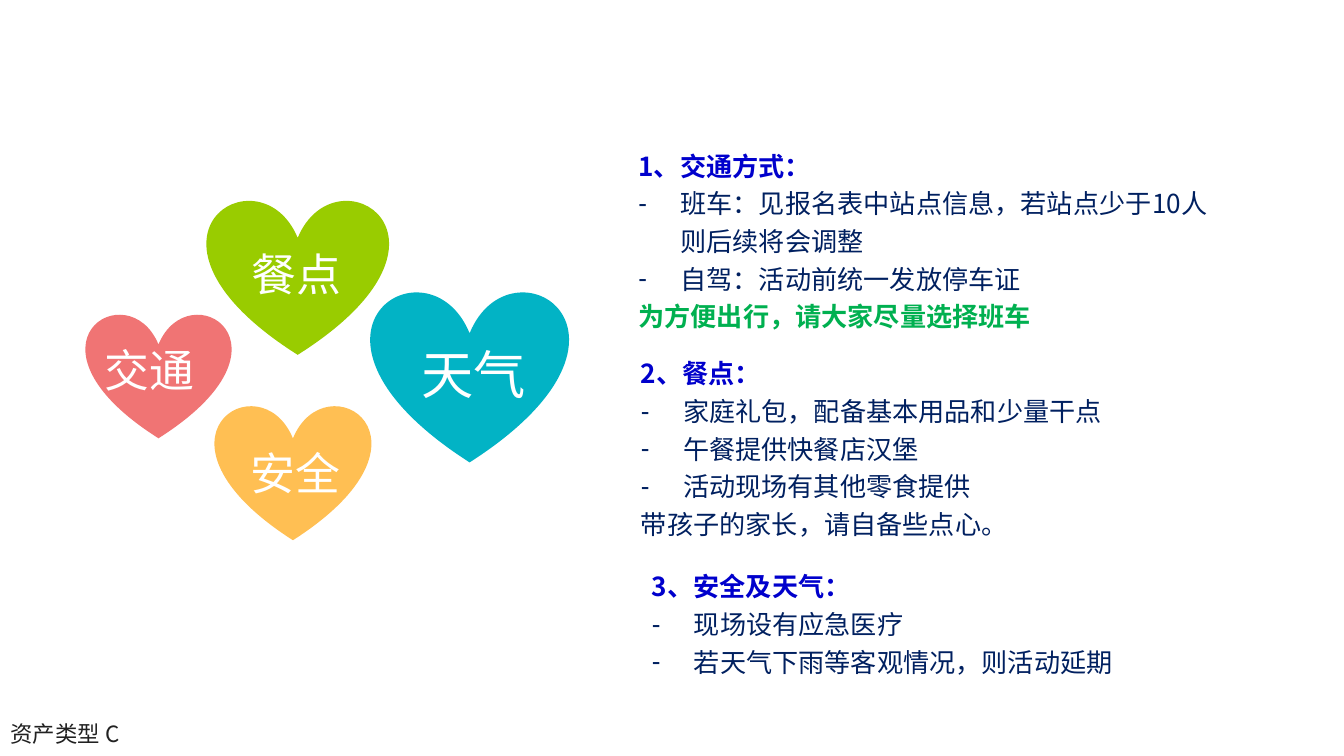
from lxml import etree
from pptx import Presentation
from pptx.dml.color import RGBColor
from pptx.enum import shapes, text
from pptx.oxml import ns
from pptx.util import Pt

THEME = {
    "font": "Noto Sans CJK SC",
    "head": "0000CC", "body": "002060", "tip": "00B050",
    "white": "FFFFFF", "foot": "212121",
    "list": 14, "label": 24, "large": 28, "small": 12,
}

# Label, heart fill, heart box, label box, label size
HEARTS = [
    ("交通", "F07474", (46, 167.8, 77.8, 67), (48.2, 180, 63.4, 36), "label"),
    ("餐点", "99CC00", (110.9, 106.6, 97.2, 83.5), (119.5, 128.9, 78.5, 36), "label"),
    ("安全", "FFBF53", (115.2, 216.7, 83.5, 72.7), (126.7, 235.4, 63.4, 36), "label"),
    ("天气", "02B3C5", (198.7, 155.5, 105.8, 92.2), (218.2, 180, 71.3, 41), "large"),
]

# Box and lines of each list; a line is (style, text)
LISTS = [
    ((334.8, 72, 323.3, 110.9), [
        ("head", "1、交通方式："),
        ("item", "班车：见报名表中站点信息，若站点少于10人则后续将会调整"),
        ("item", "自驾：活动前统一发放停车证"),
        ("tip", "为方便出行，请大家尽量选择班车"),
    ]),
    ((336.2, 189.4, 295.9, 98.6), [
        ("head", "2、餐点："),
        ("item", "家庭礼包，配备基本用品和少量干点"),
        ("item", "午餐提供快餐店汉堡"),
        ("item", "活动现场有其他零食提供"),
        ("body", "带孩子的家长，请自备些点心。"),
    ]),
    ((342, 298.8, 295.9, 67.7), [
        ("head", "3、安全及天气："),
        ("item", "现场设有应急医疗"),
        ("item", "若天气下雨等客观情况，则活动延期"),
    ]),
]

FOOTER = ("资产类型 C", (2.9, 385.9, 107.3, 15.1))
INDENT = Pt(22.5)


def place(shape, box):
    shape.left, shape.top, shape.width, shape.height = map(Pt, box)


def frame(shape, inset=(7.2, 3.6, 7.2, 3.6), anchor="TOP", wrap=True):
    tf = shape.text_frame
    tf.auto_size = text.MSO_AUTO_SIZE.NONE
    tf.word_wrap = wrap
    tf.vertical_anchor = text.MSO_ANCHOR[anchor]
    (tf.margin_left, tf.margin_top,
     tf.margin_right, tf.margin_bottom) = map(Pt, inset)
    return tf


def write(par, words, size="list", color="body", bold=False,
          align="LEFT", line=1.0, bullet=None):
    props = par._p.get_or_add_pPr()
    props.set("marL", str(INDENT if bullet else 0))
    props.set("indent", str(-INDENT if bullet else 0))
    mark = etree.SubElement(props, ns.qn("a:buChar" if bullet else "a:buNone"))
    if bullet:
        mark.set("char", bullet)
    par.alignment = text.PP_ALIGN[align]
    par.line_spacing = line
    par.space_before = par.space_after = Pt(0)
    run = par.add_run()
    run.text = words
    font = run.font
    font.size, font.bold, font.name = Pt(THEME[size]), bold, THEME["font"]
    font.color.rgb = RGBColor.from_string(THEME[color])
    east = etree.SubElement(run._r.get_or_add_rPr(), ns.qn("a:ea"))
    east.set("typeface", THEME["font"])


deck = Presentation()
deck.slide_width, deck.slide_height = Pt(720), Pt(405)
slide = deck.slides.add_slide(deck.slide_layouts.get_by_name("Comparison"))

# Hearts
for _, fill, box, _, _ in HEARTS:
    heart = slide.shapes.add_shape(shapes.MSO_SHAPE.HEART, *map(Pt, box))
    heart.shadow.inherit = False
    heart.fill.solid()
    heart.fill.fore_color.rgb = RGBColor.from_string(fill)
    heart.line.fill.background()

# Heart labels
for words, _, _, box, size in HEARTS:
    label = slide.shapes.add_textbox(*map(Pt, box))
    write(frame(label, wrap=False).paragraphs[0], words,
          size=size, color="white", align="CENTER")

# Lists in the body placeholders; the unused ones go
holders = list(slide.placeholders)
bodies, spare = holders[1:4], [holders[0], *holders[4:]]
for holder, (box, lines) in zip(bodies, LISTS):
    place(holder, box)
    tf = frame(holder, anchor="MIDDLE")
    for i, (style, words) in enumerate(lines):
        par = tf.add_paragraph() if i else tf.paragraphs[0]
        item = style == "item"
        write(par, words, color="body" if item else style, line=1.2,
              bold=style in ("head", "tip"), bullet="-" if item else None)
for holder in spare:
    holder.element.getparent().remove(holder.element)

# Footer
words, box = FOOTER
foot = slide.shapes.add_textbox(*map(Pt, box))
write(frame(foot, inset=(2.7, 0, 0, 0)).paragraphs[0], words,
      size="small", color="foot")

deck.save("out.pptx")
